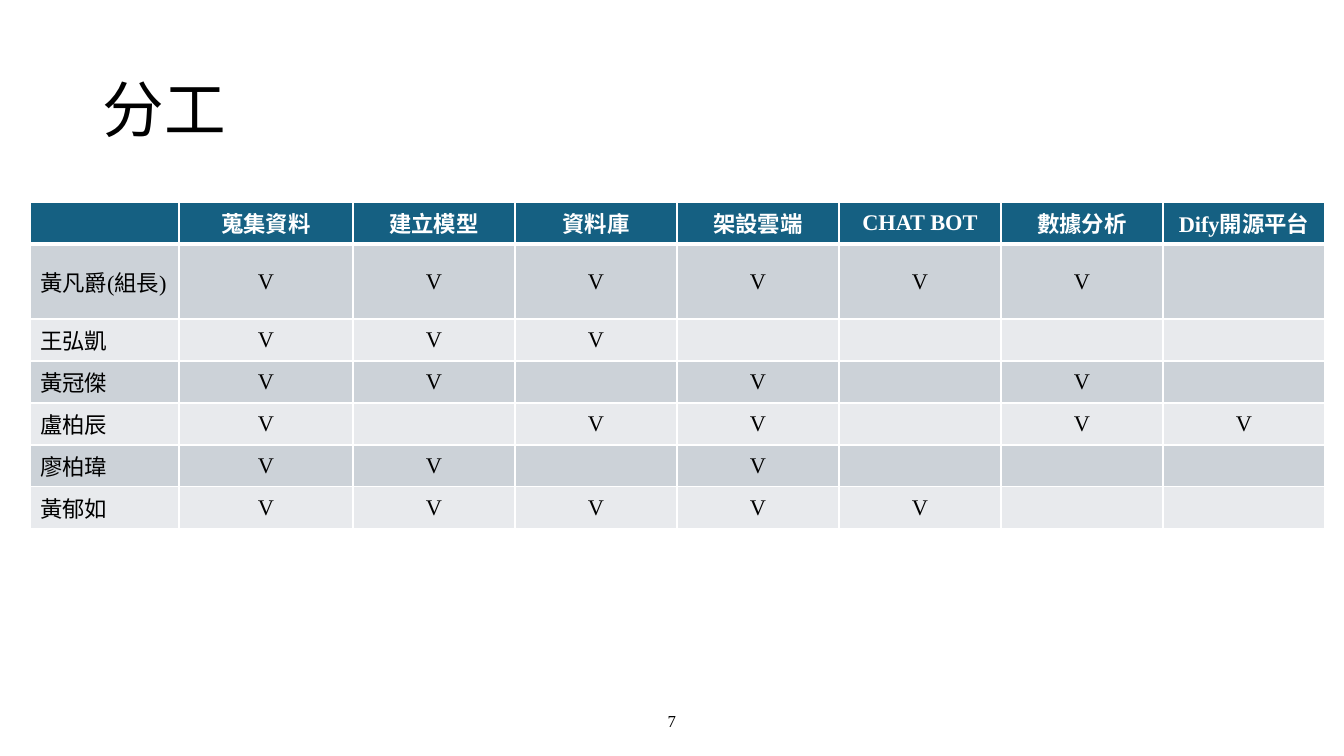
from dataclasses import dataclass

from lxml import etree
from pptx import Presentation
from pptx import util as u
from pptx.dml.color import RGBColor
from pptx.enum import text
from pptx.oxml import ns


@dataclass(frozen=True)
class Theme:
    font: str = "Times New Roman"
    ink: str = "000000"
    white: str = "FFFFFF"
    header: str = "156082"
    bands: tuple[str, str] = ("CCD2D8", "E8EAED")
    title_size: int = 44
    table_size: int = 16
    number_size: int = 12


@dataclass(frozen=True)
class Label:
    words: str
    left: int
    top: int
    width: int
    height: int
    size: int
    align: text.PP_ALIGN
    spacing: float


@dataclass(frozen=True)
class Member:
    name: str
    tasks: tuple[int, ...]


THEME = Theme()
LEFT, CENTER = text.PP_ALIGN.LEFT, text.PP_ALIGN.CENTER
LABELS = (
    Label("分工", 93, 40, 1159, 146, THEME.title_size, LEFT, 0.9),
    Label("7", 521, 701, 302, 40, THEME.number_size, CENTER, 1.0),
)
TASKS = ("蒐集資料", "建立模型", "資料庫", "架設雲端", "CHAT BOT", "數據分析", "Dify開源平台")
MEMBERS = (
    Member("黃凡爵(組長)", (1, 2, 3, 4, 5, 6)),
    Member("王弘凱", (1, 2, 3)),
    Member("黃冠傑", (1, 2, 4, 6)),
    Member("盧柏辰", (1, 3, 4, 6, 7)),
    Member("廖柏瑋", (1, 2, 4)),
    Member("黃郁如", (1, 2, 3, 4, 5)),
)
COLUMNS = (149, 174) + (162,) * 6
ROWS = (42, 75) + (42,) * 5


def px(n: int) -> u.Emu:
    return u.Emu(round(n * 914400 / 100.8))


def style(p, size: int, color: str, align: text.PP_ALIGN, bold: bool = False) -> None:
    p.alignment = align
    p.font.name = THEME.font
    p.font.size = u.Pt(size)
    p.font.bold = bold
    p.font.color.rgb = RGBColor.from_string(color)


def add_label(slide, label: Label) -> None:
    sp = slide.shapes.add_textbox(
        px(label.left), px(label.top), px(label.width), px(label.height))
    tf = sp.text_frame
    tf.word_wrap = True
    tf.vertical_anchor = text.MSO_ANCHOR.MIDDLE
    p = tf.paragraphs[0]
    p.text = label.words
    p.line_spacing = label.spacing
    style(p, label.size, THEME.ink, label.align)


def add_borders(cell, top: int, bottom: int) -> None:
    props = cell._tc.get_or_add_tcPr()
    for side, points in (("L", 1), ("R", 1), ("T", top), ("B", bottom)):
        ln = etree.SubElement(props, ns.qn(f"a:ln{side}"), w=str(u.Pt(points)))
        fill = etree.SubElement(ln, ns.qn("a:solidFill"))
        etree.SubElement(fill, ns.qn("a:srgbClr"), val=THEME.white)


def fill_cell(cell, words: str, row: int, col: int) -> None:
    header = row == 0
    add_borders(cell, 3 if row == 1 else 1, 3 if header else 1)
    cell.fill.solid()
    cell.fill.fore_color.rgb = RGBColor.from_string(
        THEME.header if header else THEME.bands[(row - 1) % 2])
    cell.vertical_anchor = text.MSO_ANCHOR.MIDDLE
    p = cell.text_frame.paragraphs[0]
    p.text = words
    style(p, THEME.table_size, THEME.white if header else THEME.ink,
          CENTER if col else LEFT, header)


def add_duties(slide) -> None:
    rows = [("", *TASKS)]
    for member in MEMBERS:
        marks = ("V" if n in member.tasks else "" for n in range(1, len(TASKS) + 1))
        rows.append((member.name, *marks))
    table = slide.shapes.add_table(
        len(ROWS), len(COLUMNS), px(30), px(202),
        px(sum(COLUMNS)), px(sum(ROWS))).table
    for column, width in zip(table.columns, COLUMNS):
        column.width = px(width)
    for r, (words, height) in enumerate(zip(rows, ROWS)):
        table.rows[r].height = px(height)
        for c, word in enumerate(words):
            fill_cell(table.cell(r, c), word, r, c)


def main() -> None:
    prs = Presentation()
    prs.slide_width, prs.slide_height = px(1344), px(756)
    slide = prs.slides.add_slide(prs.slide_layouts[6])
    for label in LABELS:
        add_label(slide, label)
    add_duties(slide)
    prs.save("out.pptx")


if __name__ == "__main__":
    main()
